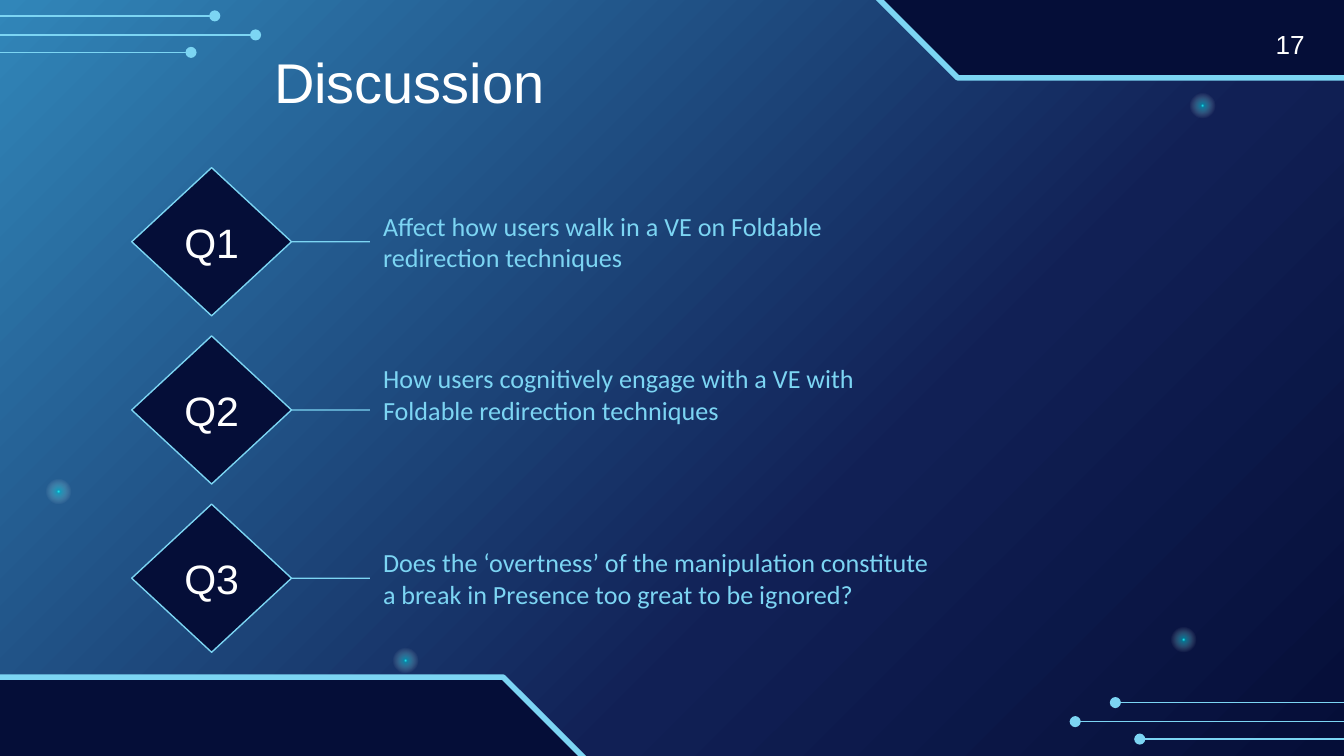
import pptx
import pptx.dml.color
import pptx.enum.shapes
import pptx.enum.text
import pptx.oxml
import pptx.oxml.ns
import pptx.util

Cm, Pt = pptx.util.Cm, pptx.util.Pt
RGBColor = pptx.dml.color.RGBColor
Shape = pptx.enum.shapes.MSO_SHAPE
Align = pptx.enum.text.PP_ALIGN
Middle = pptx.enum.text.MSO_ANCHOR.MIDDLE
qn = pptx.oxml.ns.qn

NAVY = RGBColor(0x05, 0x0E, 0x38)
INDIGO = RGBColor(0x11, 0x20, 0x55)
BLUE = RGBColor(0x31, 0x86, 0xB9)
SKY = RGBColor(0x7C, 0xD5, 0xF3)
CYAN = RGBColor(0x21, 0xFF, 0xFF)
TEAL = RGBColor(0x05, 0xD8, 0xE7)
WHITE = RGBColor(0xFF, 0xFF, 0xFF)

TITLE = "Discussion"
PAGE = "17"
QUESTIONS = [
    ("Q1", "Affect how users walk in a VE on Foldable redirection techniques", 0),
    ("Q2", "How users cognitively engage with a VE with Foldable redirection techniques", 0.3),
    ("Q3", "Does the ‘overtness’ of the manipulation constitute a break in Presence too great to be ignored?", 0),
]

BACKDROP = [(0, BLUE, 100), (64, INDIGO, 100), (100, NAVY, 100)]
GLOW = [(0, CYAN, 100), (9, TEAL, 48), (69, WHITE, 0), (100, WHITE, 0)]
DIAGONAL = '<a:lin %s ang="2700000" scaled="0"/>'
RADIAL = ('<a:path %s path="circle"><a:fillToRect l="50000" t="50000" '
          'r="50000" b="50000"/></a:path>')

SPARKS = [(7.42, 12.24), (22.48, 1.75), (0.86, 9.04), (22.12, 11.84)]
SPARK_SIZE = 0.49
PANELS = [(-1.88, 12.8, 0), (16.31, -2.11, 180)]
PANEL_SIZE = (13.18, 3.58)
TRACES = [
    (-1, [(4.83, 0.66), (3.61, 0.99), (4.06, 0.3)]),
    (1, [(20.32, 13.64), (21.54, 13.97), (21.08, 13.28)]),
]
TRACE_LENGTH = 5.87
FIRST_MIDDLE, PITCH = 4.57, 3.18
DIAMOND_LEFT, DIAMOND_WIDTH, DIAMOND_HEIGHT = 2.49, 3.02, 2.8
BODY_LEFT, BODY_WIDTH, BODY_HEIGHT = 6.99, 10.85, 0.84

TITLE_FONT = {"name": "Arial", "size": Pt(30)}
LABEL_FONT = {"name": "Arial", "size": Pt(22)}
BODY_FONT = {"name": "Calibri", "size": Pt(14)}
PAGE_FONT = {"name": "Arial", "size": Pt(14)}
ROOMY = {"margin_left": Cm(0.25), "margin_right": Cm(0.25)}
TIGHT = {"margin_left": 0, "margin_right": 0}
FRAME = {"word_wrap": True, "vertical_anchor": Middle,
         "margin_top": Cm(0.25), "margin_bottom": Cm(0.25)}


def apply(target, values):
    for key, value in values.items():
        setattr(target, key, value)


def write(holder, text, font, color, align, margins):
    apply(holder.text_frame, {**FRAME, **margins})
    paragraph = holder.text_frame.paragraphs[0]
    paragraph.alignment = align
    run = paragraph.add_run()
    run.text = text
    apply(run.font, font)
    run.font.color.rgb = color


def blend(owner, fill, stops, direction):
    fill.gradient()
    gradient = owner.find(".//" + qn("a:gradFill"))
    for child in list(gradient):
        gradient.remove(child)
    entries = "".join(
        f'<a:gs pos="{place * 1000}"><a:srgbClr val="{color}">'
        f'<a:alpha val="{opacity * 1000}"/></a:srgbClr></a:gs>'
        for place, color, opacity in stops)
    space = pptx.oxml.ns.nsdecls("a")
    gradient.append(pptx.oxml.parse_xml(f"<a:gsLst {space}>{entries}</a:gsLst>"))
    gradient.append(pptx.oxml.parse_xml(direction % space))


def add_text(slide, box, *styling):
    holder = slide.shapes.add_textbox(*map(Cm, box))
    write(holder, *styling)
    return holder


def add_block(slide, preset, box, weight):
    block = slide.shapes.add_shape(preset, *map(Cm, box))
    block.shadow.inherit = False
    block.fill.solid()
    block.fill.fore_color.rgb = NAVY
    block.line.color.rgb = SKY
    block.line.width = Pt(weight)
    return block


def add_line(slide, *ends):
    line = slide.shapes.add_connector(
        pptx.enum.shapes.MSO_CONNECTOR.STRAIGHT, *map(Cm, ends))
    line.line.color.rgb = SKY
    line.line.width = Pt(0.75)
    line._element.spPr.append(pptx.oxml.xmlchemy.OxmlElement("a:effectLst"))
    return line


def add_decor(slide):
    for left, top in SPARKS:
        spark = slide.shapes.add_shape(
            Shape.OVAL, *map(Cm, (left, top, SPARK_SIZE, SPARK_SIZE)))
        spark.shadow.inherit = False
        spark.line.fill.background()
        blend(spark._element, spark.fill, GLOW, RADIAL)
    for left, top, turn in PANELS:
        panel = add_block(slide, Shape.SNIP_2_SAME_RECTANGLE, (left, top, *PANEL_SIZE), 3)
        panel.adjustments[0], panel.adjustments[1] = 0.5, 0
        panel.rotation = turn
    for side, dots in TRACES:
        for x, y in dots:
            trace = add_line(slide, x + side * TRACE_LENGTH, y, x, y)
            dot = pptx.oxml.xmlchemy.OxmlElement("a:tailEnd")
            dot.set("type", "oval")
            trace.line._get_or_add_ln().append(dot)


def add_questions(slide):
    for index, (label, question, lift) in enumerate(QUESTIONS):
        middle = FIRST_MIDDLE + index * PITCH
        body = add_text(
            slide, (BODY_LEFT, middle - lift - BODY_HEIGHT / 2, BODY_WIDTH, BODY_HEIGHT),
            question, BODY_FONT, SKY, Align.LEFT, ROOMY)
        link = add_line(slide, BODY_LEFT, middle, DIAMOND_LEFT + DIAMOND_WIDTH, middle)
        diamond = add_block(
            slide, Shape.DIAMOND,
            (DIAMOND_LEFT, middle - DIAMOND_HEIGHT / 2, DIAMOND_WIDTH, DIAMOND_HEIGHT), 0.75)
        write(diamond, label, LABEL_FONT, WHITE, Align.CENTER, TIGHT)
        if not lift:
            link.begin_connect(body, 1)
        link.end_connect(diamond, 3)


def main():
    deck = pptx.Presentation()
    deck.slide_width, deck.slide_height = Cm(25.4), Cm(14.29)
    slide = deck.slides.add_slide(deck.slide_layouts[6])
    blend(slide._element, slide.background.fill, BACKDROP, DIAGONAL)
    add_decor(slide)
    add_text(slide, (4.93, 0.74, 21.41, 1.6), TITLE, TITLE_FONT, WHITE, Align.LEFT, ROOMY)
    add_questions(slide)
    add_text(slide, (23.37, 0, 2.03, 1.65), PAGE, PAGE_FONT, WHITE, Align.CENTER, TIGHT)
    deck.save("out.pptx")


if __name__ == "__main__":
    main()
